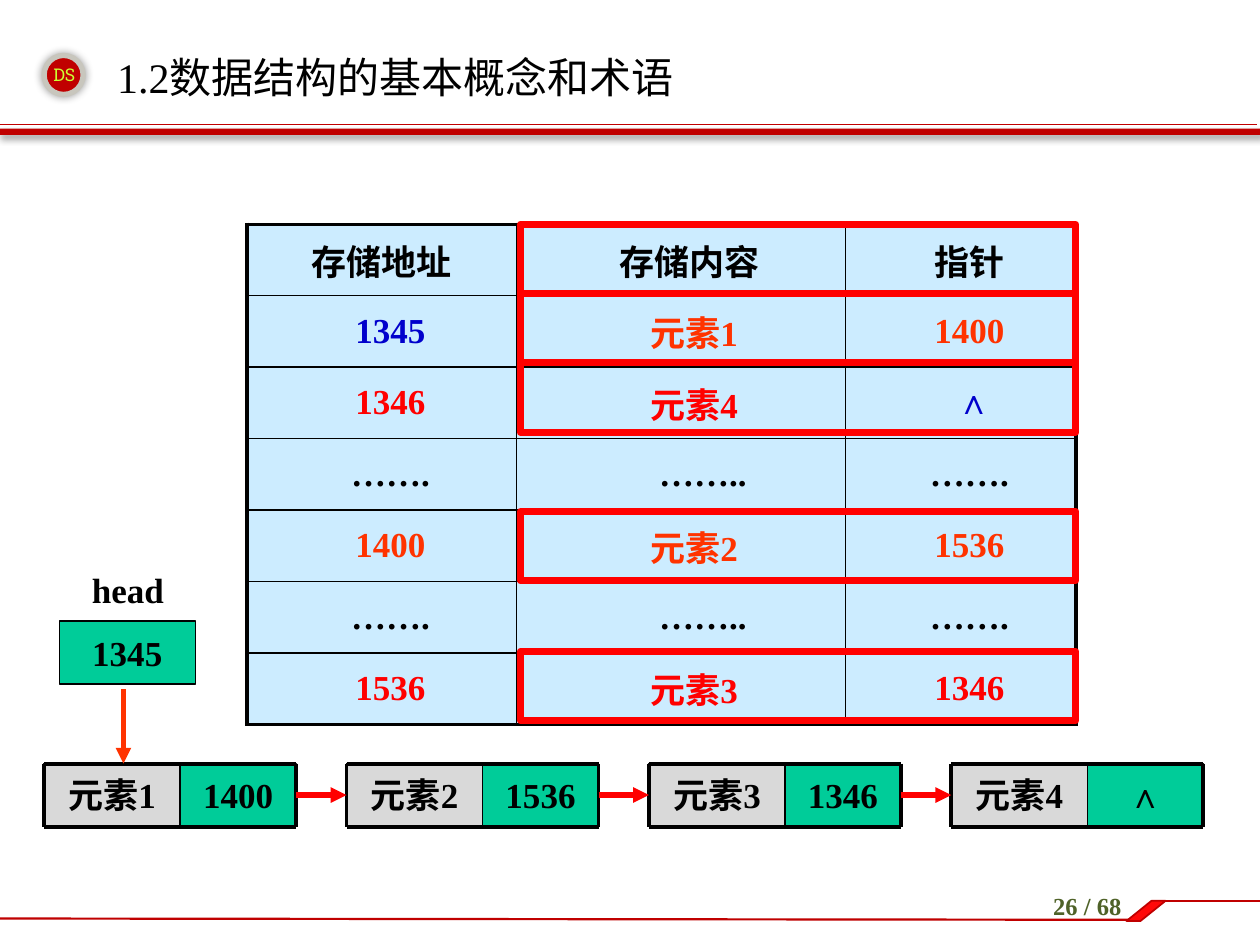
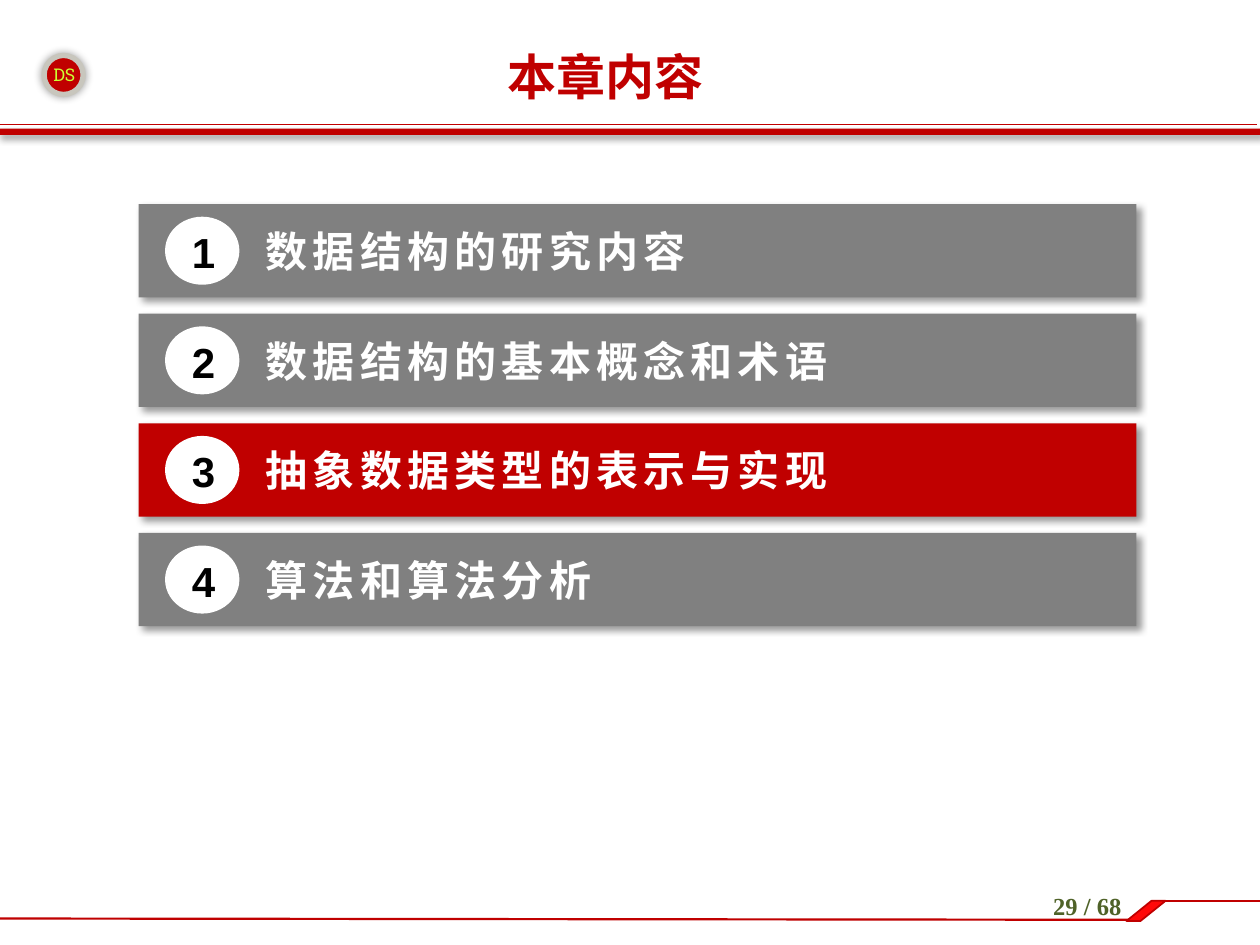
from lxml.etree import SubElement
from pptx import Presentation
from pptx.dml.color import RGBColor
from pptx.enum.shapes import MSO_CONNECTOR, MSO_SHAPE
from pptx.enum.text import MSO_ANCHOR, MSO_AUTO_SIZE, PP_ALIGN
from pptx.oxml.ns import qn
from pptx.util import Inches, Pt

RED = RGBColor(0xC0, 0x00, 0x00)
BRIGHT_RED = RGBColor(0xFF, 0x00, 0x00)
CORNER_RED = RGBColor(0xFF, 0x09, 0x09)
ORANGE = RGBColor(0xFF, 0x33, 0x00)
BLUE = RGBColor(0x00, 0x00, 0xCC)
BLACK = RGBColor(0x00, 0x00, 0x00)
WHITE = RGBColor(0xFF, 0xFF, 0xFF)
GRAY = RGBColor(0x80, 0x80, 0x80)
LIGHT_GRAY = RGBColor(0xD9, 0xD9, 0xD9)
RING_GRAY = RGBColor(0xC8, 0xC6, 0xBD)
GREEN = RGBColor(0x00, 0xCC, 0x99)
PALE_BLUE = RGBColor(0xCC, 0xEC, 0xFF)
LIME = RGBColor(0xCC, 0xFF, 0x33)
OLIVE = RGBColor(0x4F, 0x62, 0x28)

SERIF = "Times New Roman"
CHINESE = "Noto Sans CJK SC"
PAGE_COUNT = 68
GLOW = (5, 0, 0)  # blur, distance, angle
DROP_SHADOW = (4, 3, 45)


class Deck:
    def __init__(self):
        self.presentation = Presentation()
        self.presentation.slide_width = Inches(10)
        self.presentation.slide_height = Inches(7.5)
        self.slide = None

    def new_slide(self, title, page, size, color=BLACK, bold=False, align=PP_ALIGN.LEFT):
        layout = self.presentation.slide_layouts[5]
        self.slide = self.presentation.slides.add_slide(layout)
        self.frame_page(page)
        shape = self.slide.shapes.title
        shape.left, shape.top = Inches(0.83), Inches(0.3)
        shape.width, shape.height = Inches(7.95), Inches(0.61)
        shape.text_frame.auto_size = MSO_AUTO_SIZE.NONE
        self.fill_text(shape.text_frame, title, size, color, bold, align=align,
                       anchor=MSO_ANCHOR.MIDDLE)

    def frame_page(self, page):
        # Badge and header band
        self.shape(0.35, 0.44, 0.31, 0.31, RED, RING_GRAY, 3, MSO_SHAPE.OVAL, GLOW)
        self.line(-0.02, 0.99, 9.98, 0.99, RED, 0.25)
        self.shape(-0.03, 1.02, 10.03, 0.05, RED, shadow=DROP_SHADOW)
        self.text(0.24, 0.46, 0.54, 0.27, "DS", 10, LIME, font="Roboto Slab",
                  align=PP_ALIGN.CENTER)
        # Footer rule and page number
        self.line(0, 7.29, 8.96, 7.3, RED, 1.25)
        self.line(9.17, 7.15, 10, 7.15, RED, 1.5)
        corner = self.shape(8.94, 7.15, 0.31, 0.16, CORNER_RED, RED, 1,
                            MSO_SHAPE.PARALLELOGRAM)
        corner.adjustments[0] = 1.24
        self.text(8, 7.02, 1.26, 0.4, f"{page} / {PAGE_COUNT}", 14, OLIVE, True,
                  align=PP_ALIGN.CENTER)

    def fill_text(self, frame, text, size, color, bold=False, font=SERIF,
                  align=PP_ALIGN.LEFT, anchor=MSO_ANCHOR.TOP, spacing=0):
        frame.word_wrap = True
        frame.vertical_anchor = anchor
        paragraph = frame.paragraphs[0]
        paragraph.alignment = align
        run = paragraph.add_run()
        run.text = text
        run.font.size = Pt(size)
        run.font.bold = bold
        run.font.name = font
        run.font.color.rgb = color
        properties = run._r.get_or_add_rPr()
        SubElement(properties, qn("a:ea")).set("typeface", CHINESE)
        if spacing:
            properties.set("spc", str(spacing * 100))

    def text(self, left, top, width, height, text, size, color, bold=False, **style):
        box = self.slide.shapes.add_textbox(
            Inches(left), Inches(top), Inches(width), Inches(height))
        self.fill_text(box.text_frame, text, size, color, bold, **style)

    def shape(self, left, top, width, height, fill=None, line=None, weight=1,
              kind=MSO_SHAPE.RECTANGLE, shadow=None):
        shape = self.slide.shapes.add_shape(
            kind, Inches(left), Inches(top), Inches(width), Inches(height))
        if fill is None:
            shape.fill.background()
        else:
            shape.fill.solid()
            shape.fill.fore_color.rgb = fill
        if line is None:
            shape.line.fill.background()
        else:
            shape.line.color.rgb = line
            shape.line.width = Pt(weight)
        shape.shadow.inherit = False
        if shadow:
            blur, distance, angle = shadow
            effects = shape._element.spPr.find(qn("a:effectLst"))
            outer = SubElement(effects, qn("a:outerShdw"), blurRad=str(Pt(blur)),
                               dist=str(Pt(distance)), dir=str(angle * 60000),
                               algn="ctr", rotWithShape="0")
            shade = SubElement(outer, qn("a:srgbClr"), val=str(BLACK))
            SubElement(shade, qn("a:alpha"), val="40000")
        return shape

    def field(self, left, top, width, text, fill):
        """A half-inch memory field with a centred value."""
        shape = self.shape(left, top, width, 0.5, fill, BLACK, 0.75)
        frame = shape.text_frame
        frame.margin_left = frame.margin_right = 0
        frame.margin_top = Inches(0.08)
        self.fill_text(frame, text, 20, BLACK, True, align=PP_ALIGN.CENTER)
        return shape

    def line(self, x1, y1, x2, y2, color, weight, arrow=False):
        connector = self.slide.shapes.add_connector(
            MSO_CONNECTOR.STRAIGHT, Inches(x1), Inches(y1), Inches(x2), Inches(y2))
        connector.line.color.rgb = color
        connector.line.width = Pt(weight)
        properties = connector._element.spPr
        if arrow:
            SubElement(properties.find(qn("a:ln")), qn("a:tailEnd"), type="triangle")
        SubElement(properties, qn("a:effectLst"))
        return connector

    def table(self, left, top, widths, row_height, rows):
        graphic = self.slide.shapes.add_table(
            len(rows), len(widths), Inches(left), Inches(top),
            Inches(sum(widths)), Inches(row_height * len(rows)))
        table = graphic.table
        table.first_row = table.horz_banding = False
        for column, width in zip(table.columns, widths):
            column.width = Inches(width)
        last_row, last_column = len(rows) - 1, len(widths) - 1
        for r, row in enumerate(rows):
            table.rows[r].height = Inches(row_height)
            for c, (text, color, indent) in enumerate(zip(*row)):
                cell = table.cell(r, c)
                cell.fill.solid()
                cell.fill.fore_color.rgb = PALE_BLUE
                cell.margin_left = Inches(0.1) + Pt(indent)
                self.fill_text(cell.text_frame, text, 20, color, True,
                               align=PP_ALIGN.CENTER)
                cell.vertical_anchor = MSO_ANCHOR.MIDDLE
                self.cell_borders(cell, {"L": c == 0, "R": c == last_column,
                                         "T": r == 0, "B": r == last_row})

    def cell_borders(self, cell, outer_sides):
        properties = cell._tc.get_or_add_tcPr()
        for position, (side, outer) in enumerate(outer_sides.items()):
            border = SubElement(properties, qn(f"a:ln{side}"),
                                w=str(Pt(2.25 if outer else 1)))
            fill = SubElement(border, qn("a:solidFill"))
            SubElement(fill, qn("a:srgbClr"), val=str(BLACK))
            properties.insert(position, border)

    def list_node(self, left, top, data, pointer):
        """A linked-list node: data field, pointer field and heavy frame."""
        middle, right, bottom = left + 1.08, left + 2, top + 0.5
        pointer_field = self.field(middle, top, 0.92, pointer, GREEN)
        data_field = self.field(left, top, 1.08, data, LIGHT_GRAY)
        for y in (top, bottom):
            self.line(left, y, right, y, BLACK, 2.25)
        for x, weight in ((left, 2.25), (middle, 1), (right, 2.25)):
            self.line(x, top, x, bottom, BLACK, weight)
        return data_field, pointer_field

    def agenda_bar(self, top, number, topic, fill):
        self.shape(1.1, top, 7.92, 0.74, fill, shadow=DROP_SHADOW)
        self.shape(1.31, top + 0.1, 0.59, 0.54, WHITE, kind=MSO_SHAPE.OVAL)
        self.text(2.01, top + 0.12, 7.01, 0.51, topic, 24, WHITE, True,
                  font=CHINESE, spacing=3)
        self.text(1.3, top + 0.13, 0.63, 0.51, str(number), 24, BLACK, True,
                  font="Arial", align=PP_ALIGN.CENTER)


def linked_storage_slide(deck):
    deck.new_slide("1.2数据结构的基本概念和术语", 26, 24)

    # Memory table: texts, colours and indents in points for each row
    gap_row = (("…….", "……..", "……."), (BLACK,) * 3, (10, 25, 10))
    indents = (10, 15, 10)
    rows = [
        (("存储地址", "存储内容", "指针"), (BLACK,) * 3, (0, 10, 10)),
        (("1345", "元素1", "1400"), (BLUE, ORANGE, ORANGE), indents),
        (("1346", "元素4", "∧"), (BRIGHT_RED, BRIGHT_RED, BLUE), (10, 15, 15)),
        gap_row,
        (("1400", "元素2", "1536"), (ORANGE,) * 3, indents),
        gap_row,
        (("1536", "元素3", "1346"), (BRIGHT_RED,) * 3, indents),
    ]
    deck.table(1.96, 1.78, (2.14, 2.61, 1.83), 3.97 / 7, rows)

    # Linked list
    node_top = 6.06
    nodes = [("元素1", "1400"), ("元素2", "1536"), ("元素3", "1346"), ("元素4", "∧")]
    fields = [deck.list_node(0.35 + 2.4 * index, node_top, data, pointer)
              for index, (data, pointer) in enumerate(nodes)]
    for (_, pointer_field), (data_field, _) in zip(fields, fields[1:]):
        link = deck.line(0, 0, 1, 1, BRIGHT_RED, 3, arrow=True)
        link.begin_connect(pointer_field, 3)
        link.end_connect(data_field, 1)

    # Head pointer
    deck.field(0.47, 4.93, 1.08, "1345", GREEN)
    deck.line(0.98, 5.47, 0.98, node_top, ORANGE, 3, arrow=True)
    deck.text(0.59, 4.46, 0.85, 0.43, "head", 20, BLACK, True,
              align=PP_ALIGN.CENTER, anchor=MSO_ANCHOR.MIDDLE)

    # Highlights around the stored nodes
    for top in (1.78, 2.33, 2.88, 4.06, 5.17):
        deck.shape(4.13, top, 4.41, 0.55, line=BRIGHT_RED, weight=4)


def agenda_slide(deck):
    deck.new_slide("本章内容", 29, 28, RED, True, PP_ALIGN.CENTER)
    topics = ["数据结构的研究内容", "数据结构的基本概念和术语",
              "抽象数据类型的表示与实现", "算法和算法分析"]
    current = 3
    for number, topic in enumerate(topics, 1):
        fill = RED if number == current else GRAY
        deck.agenda_bar(1.62 + 0.87 * (number - 1), number, topic, fill)


def main():
    deck = Deck()
    linked_storage_slide(deck)
    agenda_slide(deck)
    deck.presentation.save("out.pptx")


if __name__ == "__main__":
    main()
